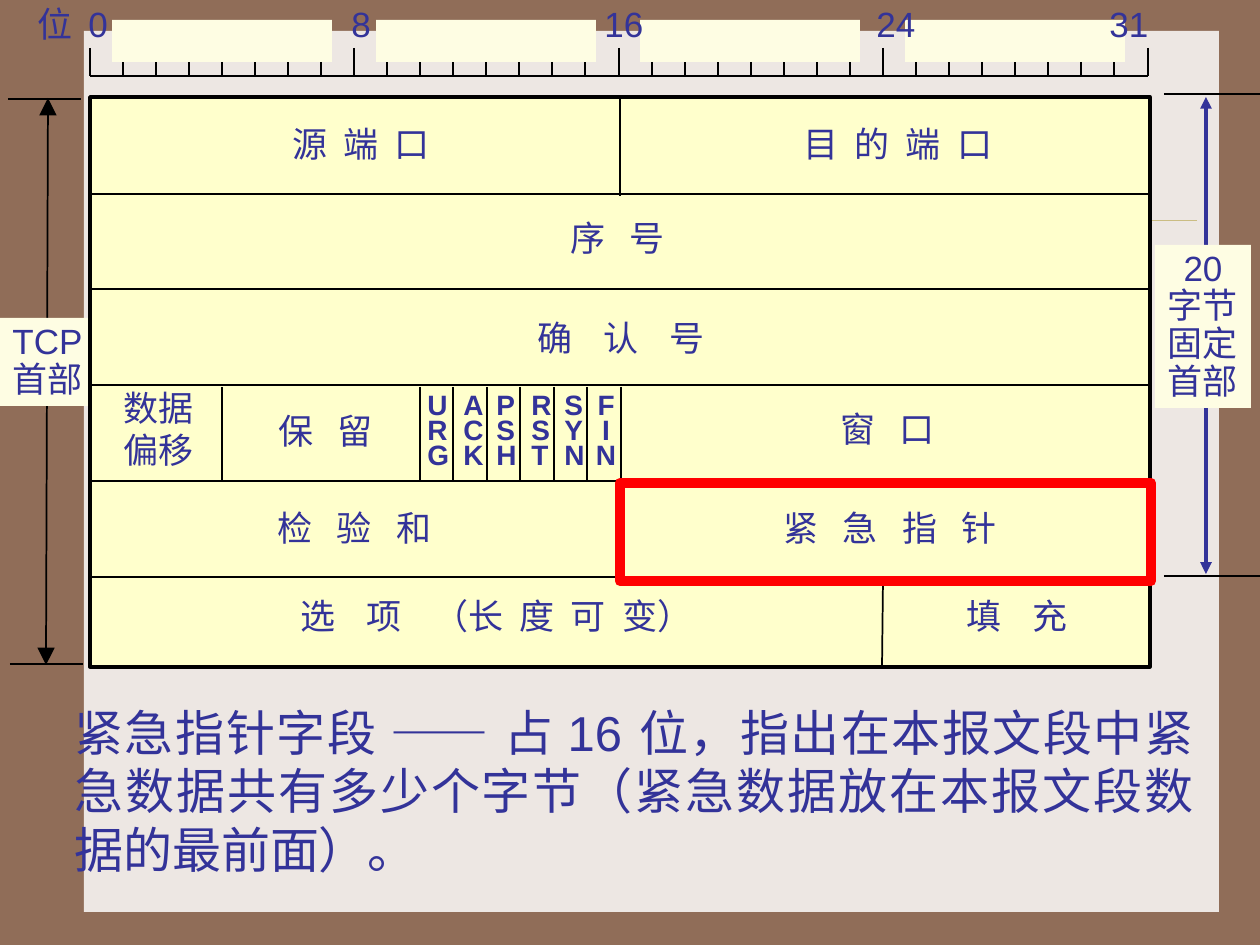
from lxml.etree import SubElement
from pptx import Presentation
from pptx.dml.color import RGBColor
from pptx.enum.shapes import MSO_CONNECTOR, MSO_SHAPE
from pptx.enum.text import PP_ALIGN
from pptx.oxml.ns import qn
from pptx.util import Emu, Pt

BROWN = RGBColor(0x90, 0x6D, 0x58)
PANEL = RGBColor(0xED, 0xE7, 0xE3)
GOLD = RGBColor(0xCB, 0xBD, 0x83)
CREAM = RGBColor(0xFE, 0xFD, 0xE3)
YELLOW = RGBColor(0xFF, 0xFF, 0xCC)
NAVY = RGBColor(0x33, 0x33, 0x99)
BLACK = RGBColor(0, 0, 0)
RED = RGBColor(0xFF, 0, 0)
# Letter spacing in points: loose, wide and widest labels
LOOSE, WIDE, WIDEST = 2.4, 4.7, 6.7


def emu(px):
    return Emu(round(px * 914400 / 126))


def write(frame, paras, size=20, bold=False, align=PP_ALIGN.LEFT,
          leading=None, wrap=False, tabs=()):
    """Fill a frame; each paragraph is a list of (text, spacing, font)."""
    frame.word_wrap = wrap
    for i, runs in enumerate(paras):
        para = frame.paragraphs[0] if i == 0 else frame.add_paragraph()
        para.alignment = align
        if leading:
            para.line_spacing = leading
        if tabs:
            stops = SubElement(para._p.get_or_add_pPr(), qn("a:tabLst"))
            for x in tabs:
                SubElement(stops, qn("a:tab"), pos=str(emu(x)), algn="l")
        for text, gap, face in runs:
            run = para.add_run()
            run.text = text
            run.font.size = Pt(size)
            run.font.bold = bold
            run.font.name = face
            run.font.color.rgb = NAVY
            if gap:
                run._r.get_or_add_rPr().set("spc", str(round(gap * 100)))


def plain(*lines, gap=0):
    return [[(line, gap, "Arial")] for line in lines]


class Board:
    def __init__(self, slide):
        self.slide = slide
        self.shapes = slide.shapes

    def rect(self, x, y, w, h, fill=None, line=None, width=1):
        box = self.shapes.add_shape(MSO_SHAPE.RECTANGLE, emu(x), emu(y), emu(w), emu(h))
        box.shadow.inherit = False
        if fill is None:
            box.fill.background()
        else:
            box.fill.solid()
            box.fill.fore_color.rgb = fill
        if line is None:
            box.line.fill.background()
        else:
            box.line.color.rgb = line
            box.line.width = Pt(width)
        return box

    def line(self, x1, y1, x2, y2, color=BLACK, width=1, arrow=None):
        rule = self.shapes.add_connector(
            MSO_CONNECTOR.STRAIGHT, emu(x1), emu(y1), emu(x2), emu(y2))
        rule.line.color.rgb = color
        rule.line.width = Pt(width)
        if arrow:
            for end in ("a:headEnd", "a:tailEnd"):
                SubElement(rule.line._get_or_add_ln(), qn(end),
                           type="triangle", w=arrow, len=arrow)
        SubElement(rule._element.spPr, qn("a:effectLst"))
        return rule

    def text(self, x, y, w, h, paras, **style):
        box = self.shapes.add_textbox(emu(x), emu(y), emu(w), emu(h))
        write(box.text_frame, paras, **style)


def main():
    deck = Presentation()
    deck.slide_width, deck.slide_height = emu(1260), emu(945)
    slide = deck.slides.add_slide(deck.slide_layouts[6])
    slide.background.fill.solid()
    slide.background.fill.fore_color.rgb = BROWN
    board = Board(slide)

    # Backdrop
    board.rect(84, 31, 1135, 881, PANEL)
    board.line(140, 220, 1197, 220, GOLD, 0.25)

    # Height markers on both sides
    board.line(48, 98, 46, 665, arrow="lg")
    left = board.rect(0, 318, 96, 88, CREAM)
    write(left.text_frame, plain("TCP", "首部"), leading=0.9)
    board.line(1206, 97, 1206, 574, NAVY, 2.25, arrow="med")
    right = board.rect(1155, 245, 96, 163, CREAM)
    write(right.text_frame, plain("20", "字节", "固定", "首部"),
          leading=0.9, align=PP_ALIGN.CENTER)
    for x, y, w in ((1164, 94, 115), (1164, 576, 115), (8, 99, 73), (10, 664, 73)):
        board.line(x, y, x + w, y)

    # Header frame, rows and dividers
    frame = board.rect(90, 97, 1060, 570, YELLOW, BLACK, 2)
    for i in range(5):
        y = 194 + 383 * i // 4
        board.line(90, y, 1150, y)
    ports = board.line(620, 97, 620, 196)
    ports.begin_connect(frame, 0)
    board.line(621, 387, 621, 576)
    for x in [222] + [420 + 67 * i // 2 for i in range(6)]:
        board.line(x, 387, x, 482)
    board.line(883, 580, 882, 668)

    # Field names
    for x, y, w, name, gap in (
            (280, 116, 190, "源 端 口", LOOSE),
            (791, 116, 240, "目 的 端 口", LOOSE),
            (558, 210, 190, "序 号", WIDE),
            (525, 310, 253, "确 认 号", WIDEST),
            (266, 403, 150, "保 留", WIDE),
            (828, 401, 150, "窗 口", WIDE),
            (265, 500, 210, "检 验 和", WIDE),
            (771, 500, 270, "紧 急 指 针", WIDE),
            (954, 588, 173, "填 充", WIDEST)):
        board.text(x, y, w, 54, plain(name, gap=gap), wrap=True)
    board.text(111, 380, 96, 96, plain("数据", "偏移"))
    options = (("选 项 ", WIDEST), ("（", 0), ("长 度 可 ", LOOSE), ("变）", 0))
    board.text(288, 588, 441, 54, [[(t, gap, "Arial") for t, gap in options]], wrap=True)

    # Flag bits
    for x, flag in zip((415, 451, 484, 519, 552, 583),
                       ("URG", "ACK", "PSH", "RST", "SYN", "FIN")):
        side = PP_ALIGN.CENTER if flag == "FIN" else PP_ALIGN.LEFT
        board.text(x, 389, 46, 88, plain(*flag), size=16, bold=True,
                   leading=0.75, align=side)

    # Bit ruler: long ticks every byte, tops of the short ones covered
    board.line(90, 76, 1148, 76)
    for bit in range(33):
        x = 90 + 1058 * bit // 32
        board.line(x, 34 if bit % 8 else 48, x, 76)
    for byte in range(4):
        board.rect(112 + 793 * byte // 3, 20, 220, 42, CREAM)
    board.text(25, -4, 1160, 54, plain("位\t0\t8\t16\t24\t31"),
               tabs=(51, 314, 567, 839, 1072), wrap=True)

    # Highlighted field and its explanation
    board.rect(620, 483, 531, 98, line=RED, width=6)
    board.text(62, 696, 1144, 189, [[
        ("紧急指针字段 —— 占 16 位，", 0, "Arial"),
        ("指出在本报文段中紧急数据共有多少个字节（紧急数据放在本报文段数据的最前面）。", 0, "Roboto"),
    ]], size=28, align=PP_ALIGN.JUSTIFY, wrap=True)

    deck.save("out.pptx")


if __name__ == "__main__":
    main()
